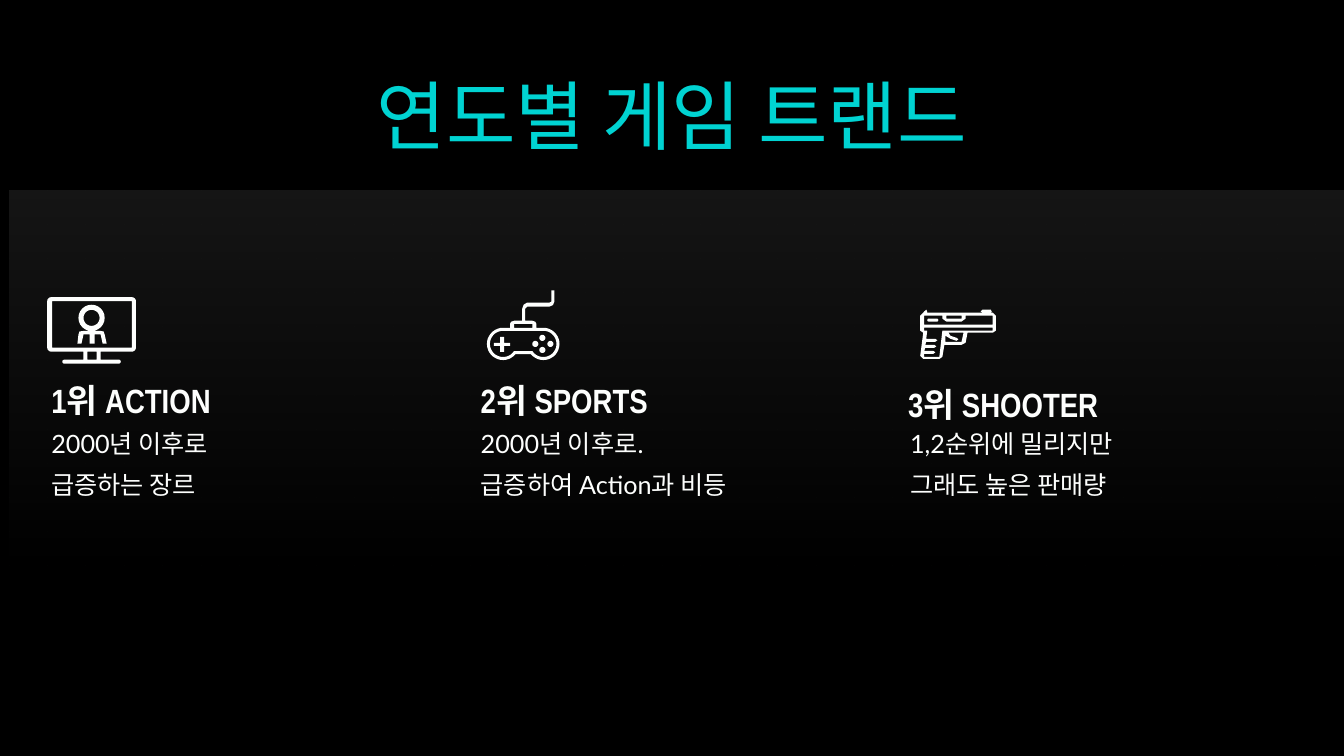
from copy import deepcopy
from math import cos, radians, sin

from pptx import Presentation
from pptx import util as u
from pptx.dml.color import RGBColor
from pptx.enum import shapes, text
from pptx.oxml import ns
from lxml import etree

COLORS = {"background": "000000", "title": "00D3D2", "light": "FEFFFE"}
TITLE = {"size": u.Pt(54), "name": "Arial Narrow", "bold": False}
RANK = {"size": u.Pt(24), "name": "Arial Narrow", "bold": True}
DETAIL = {"size": u.Pt(18), "name": "Lato", "bold": False}


def arc(cx, cy, r, start=0, end=345, steps=23):
    """Return points along a circular arc, angles in degrees."""
    angles = [radians(start + (end - start) * i / steps) for i in range(steps + 1)]
    return [(cx + r * cos(a), cy + r * sin(a)) for a in angles]


def box(left, top, right, bottom, r=0):
    """Return the outline of a rectangle with optional rounded corners."""
    if not r:
        return [(left, top), (right, top), (right, bottom), (left, bottom)]
    corners = [(right - r, bottom - r), (left + r, bottom - r),
               (left + r, top + r), (right - r, top + r)]
    return [p for i, (x, y) in enumerate(corners)
            for p in arc(x, y, r, 90 * i, 90 * i + 90, 6)]


def pad(r, angle):
    """Return the outline of a two-lobed gamepad body."""
    return arc(18, 53, r, angle, 270) + arc(58, 53, r, -90, 180 - angle)


MONITOR = [
    box(0, 0, 88, 54, 4), box(5, 4, 84, 50),
    box(36, 54, 40, 62), box(49, 54, 53, 62), box(15, 62, 73, 66, 2),
    arc(44, 20.5, 13), arc(44, 20.5, 8),
    [(30, 46), (31, 37), (32, 34), (36, 33.5), (53, 33.5), (56, 34), (57, 37),
     (59, 46), (55, 46), (53, 37), (47, 37), (47, 46), (42, 46), (42, 37),
     (36, 37), (34, 46)],
]
GAMEPAD = [
    pad(16, 39), pad(13, 33),
    *[arc(x, y, 3) for x, y in [(57, 47), (50, 53), (65, 53), (57, 59)]],
    [(15, 46), (19, 46), (19, 52), (25, 52), (25, 55), (19, 55), (19, 61),
     (15, 61), (15, 55), (9, 55), (9, 52), (15, 52)],
    [(25, 37), (25, 33), (26, 31), (29, 30), (47, 30), (50, 31), (51, 33),
     (51, 37), (47, 37), (47, 33), (29, 33), (29, 37)],
    [(66, 0), (69, 0), (69, 11), (67.5, 14.5), (64, 16), (42, 16), (40, 18),
     (40, 30), (37, 30), (37, 18), (38.5, 14), (42, 12), (64, 12), (66, 11)],
]
PISTOL = [
    [(6, 0), (7, 2), (7, 3), (62, 3), (60, 2), (62, 0), (70, 0), (71, 2),
     (70, 3), (72, 3), (75, 6), (75, 21), (72, 23), (47, 23), (45, 33),
     (41, 35), (24, 35), (22, 47), (19, 49), (3, 49), (0, 46), (3, 23),
     (0, 21), (0, 6), (3, 3), (4, 2)],
    [(4, 6), (4, 15), (72, 15), (72, 6), (45, 6), (45, 9), (41, 12), (26, 12),
     (22, 9), (22, 6)],
    box(26, 6, 41, 9), box(7, 9, 18, 12, 1.5),
    [(4, 18), (4, 21), (7, 21), (6, 29), (15, 29), (17, 30.5), (15, 32),
     (6, 32), (5, 35), (14, 35), (16, 36.5), (14, 38), (5, 38), (4, 41),
     (13, 41), (15, 42.5), (13, 44), (4, 44), (4, 47), (19, 47), (22, 21),
     (72, 21), (72, 18)],
    [(28, 23), (30, 26), (36, 28), (38, 29.5), (36, 31), (30, 29), (25, 26),
     (25, 32), (41, 32), (43, 23)],
]


class TrendSlide:
    """Holds the style and the current slide."""

    def __init__(self, deck):
        """Add a slide with a title and three pairs of text placeholders."""
        layout = deck.slide_layouts[4]
        for holder in list(layout.placeholders):
            idx = holder.placeholder_format.idx
            if idx in (1, 2):
                extra = deepcopy(holder.element)
                extra.xpath(".//p:ph")[0].set("idx", str(idx + 20))
                extra.xpath(".//p:cNvPr")[0].set("id", str(idx + 20))
                layout.shapes.element.append(extra)
        self.slide = deck.slides.add_slide(layout)
        self.holders = {p.placeholder_format.idx: p for p in self.slide.placeholders}
        fill = self.slide.background.fill
        fill.solid()
        fill.fore_color.rgb = self.color("background")

    def color(self, key):
        """Return a named colour."""
        return RGBColor.from_string(COLORS[key])

    def panel(self, left, top, width, height):
        """Draw the panel that fades out downwards."""
        glow = self.slide.shapes.add_shape(
            shapes.MSO_SHAPE.RECTANGLE, *map(u.Cm, (left, top, width, height)))
        glow.shadow.inherit = False
        glow.line.fill.background()
        glow.fill.gradient()
        glow.fill.gradient_angle = 90
        for stop in glow.fill.gradient_stops:
            stop.color.rgb = self.color("light")
        tints = glow.element.spPr.iter(ns.qn("a:srgbClr"))
        for tint, alpha in zip(list(tints), ("0", "9000")):
            etree.SubElement(tint, ns.qn("a:alpha")).set("val", alpha)

    def place_text(self, idx, area, lines, font, color="light",
                   anchor=text.MSO_ANCHOR.TOP, align=text.PP_ALIGN.LEFT):
        """Move, fill and format one placeholder."""
        holder = self.holders[idx]
        for side, value in zip(("left", "top", "width", "height"), area):
            setattr(holder, side, u.Cm(value))
        frame = holder.text_frame
        frame.text = "\n".join(lines)
        layout = {"word_wrap": True, "auto_size": text.MSO_AUTO_SIZE.NONE,
                  "vertical_anchor": anchor}
        for key, value in layout.items():
            setattr(frame, key, value)
        for i, line in enumerate(frame.paragraphs):
            spacing = {"alignment": align, "line_spacing": 0.9,
                       "space_before": u.Pt(10 if i else 0), "space_after": u.Pt(0)}
            for key, value in spacing.items():
                setattr(line, key, value)
            props = line._p.get_or_add_pPr()
            props.set("marL", "0")
            props.set("indent", "0")
            etree.SubElement(props, ns.qn("a:buNone"))
            for key, value in font.items():
                setattr(line.font, key, value)
            line.font.color.rgb = self.color(color)

    def icon(self, left, top, outlines):
        """Draw one icon from outlines given in hundredths of an inch."""
        scaled = [[(x * 10, y * 10) for x, y in points] for points in outlines]
        builder = self.slide.shapes.build_freeform(*scaled[0][0], scale=u.Cm(2.54) / 1000)
        for i, points in enumerate(scaled):
            if i:
                builder.move_to(*points[0])
            builder.add_line_segments(points[1:], close=True)
        symbol = builder.convert_to_shape(u.Cm(left), u.Cm(top))
        symbol.shadow.inherit = False
        symbol.line.fill.background()
        symbol.fill.solid()
        symbol.fill.fore_color.rgb = self.color("light")


def main():
    """Build the game trend slide."""
    deck = Presentation()
    deck.slide_width, deck.slide_height = u.Cm(33.87), u.Cm(19.05)
    trend = TrendSlide(deck)
    trend.panel(0.23, 4.8, 33.87, 10.31)
    trend.place_text(0, (1.04, 1.37, 31.78, 3.33), ["연도별 게임 트랜드"], TITLE, "title",
                     text.MSO_ANCHOR.MIDDLE, text.PP_ALIGN.CENTER)
    genres = [
        (1, 2, "1위 ACTION", (1.04, 7.39), ["2000년 이후로", "급증하는 장르"],
         (1.19, 7.49), MONITOR),
        (3, 4, "2위 SPORTS", (11.86, 7.39), ["2000년 이후로.", "급증하여 Action과 비등"],
         (12.22, 7.32), GAMEPAD),
        (21, 22, "3위 SHOOTER", (22.63, 7.49), ["1,2순위에 밀리지만", "그래도 높은 판매량"],
         (23.19, 7.8), PISTOL),
    ]
    for column, (rank_idx, detail_idx, rank, spot, detail, corner, symbol) in enumerate(genres):
        trend.place_text(rank_idx, (*spot, 10.13, 3.33), [rank], RANK,
                         anchor=text.MSO_ANCHOR.BOTTOM)
        trend.place_text(detail_idx, (1.04 + 10.82 * column, 10.74, 10.13, 5.38),
                         detail, DETAIL)
        trend.icon(*corner, symbol)
    deck.save("out.pptx")


if __name__ == "__main__":
    main()
